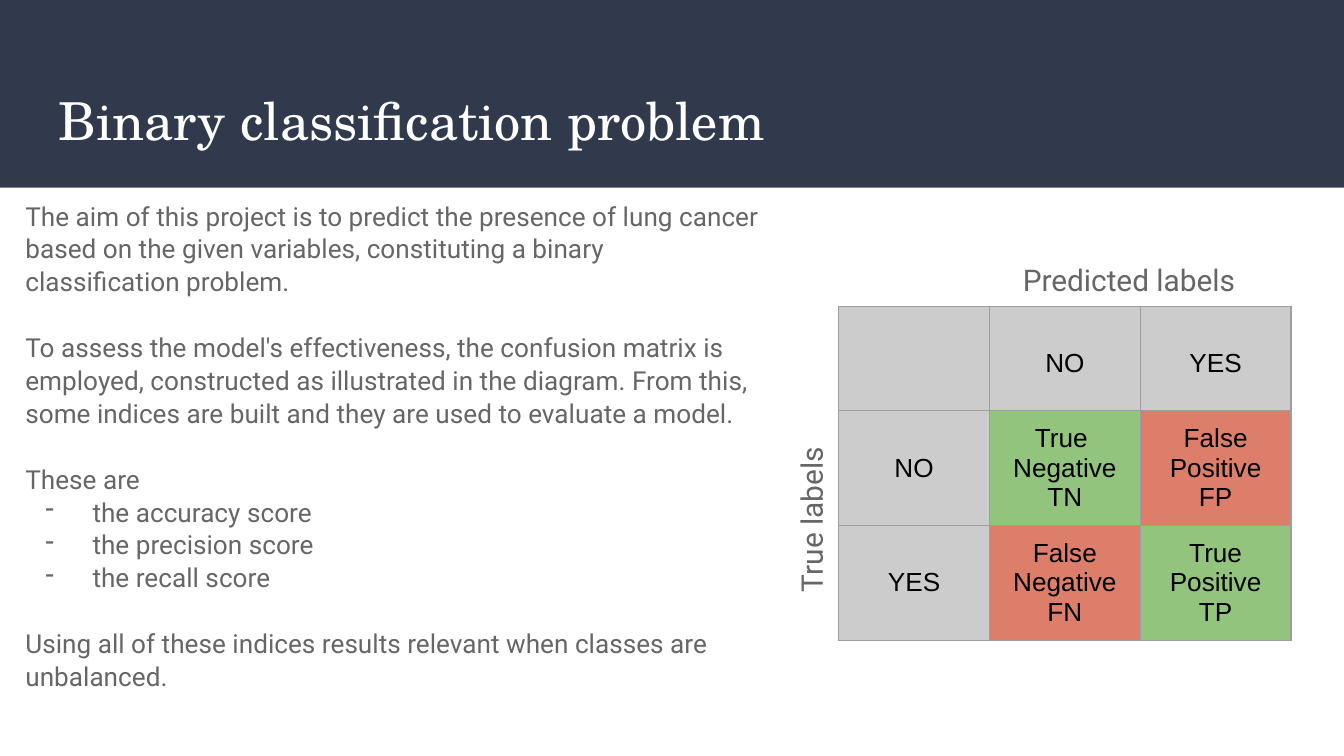
from lxml.etree import SubElement
from pptx import Presentation
from pptx.dml.color import RGBColor
from pptx.enum.shapes import MSO_SHAPE
from pptx.enum.text import MSO_ANCHOR, MSO_AUTO_SIZE, PP_ALIGN
from pptx.oxml.ns import qn
from pptx.util import Cm, Pt

NAVY = RGBColor(0x31, 0x39, 0x4D)
WHITE = RGBColor(0xFF, 0xFF, 0xFF)
BLACK = RGBColor(0x00, 0x00, 0x00)
TEXT_GRAY = RGBColor(0x66, 0x66, 0x66)
CELL_GRAY = RGBColor(0xCC, 0xCC, 0xCC)
GREEN = RGBColor(0x93, 0xC4, 0x7D)
RED = RGBColor(0xDD, 0x7E, 0x6B)
BORDER = "9E9E9E"

SLIDE_SIZE = (25.4, 14.29)
BAND_HEIGHT = 3.55
MARGIN = 0.25

TITLE = "Binary classification problem"
# Blocks of the body: each holds (text, is_bullet) paragraphs
BODY = [
    [("The aim of this project is to predict the presence of lung cancer based on "
      "the given variables, constituting a binary classification problem.", False)],
    [("To assess the model's effectiveness, the confusion matrix is employed, "
      "constructed as illustrated in the diagram. From this, some indices are built "
      "and they are used to evaluate a model.", False)],
    [("These are", False),
     ("the accuracy score", True),
     ("the precision score", True),
     ("the recall score", True)],
    [("Using all of these indices results relevant when classes are unbalanced.", False)],
]
# Cells of the confusion matrix: (paragraphs, fill)
MATRIX = [
    [([], CELL_GRAY), (["NO"], CELL_GRAY), (["YES"], CELL_GRAY)],
    [(["NO"], CELL_GRAY), (["True ", "Negative TN"], GREEN), (["False Positive", "FP"], RED)],
    [(["YES"], CELL_GRAY), (["False Negative FN"], RED), (["True Positive", "TP"], GREEN)],
]
MATRIX_LEFT, MATRIX_TOP = 15.85, 5.79
COLUMN_WIDTH = 2.85
ROW_HEIGHTS = [1.97, 2.17, 2.17]
# Axis labels: text, left, top, width, rotation, alignment
AXIS_LABELS = [
    ("Predicted labels", 19.08, 4.6, 5.13, 0, PP_ALIGN.LEFT),
    ("True labels", 13.18, 9.22, 4.11, 270, PP_ALIGN.CENTER),
]


def add_run(paragraph, text, font_name, size, color):
    run = paragraph.add_run()
    run.text = text
    run.font.name = font_name
    run.font.size = Pt(size)
    run.font.color.rgb = color


def prepare_frame(shape, anchor):
    """Set margins, wrapping and anchor, and return the text frame."""
    frame = shape.text_frame
    frame.margin_left = frame.margin_right = Cm(MARGIN)
    frame.margin_top = frame.margin_bottom = Cm(MARGIN)
    frame.word_wrap = True
    frame.auto_size = MSO_AUTO_SIZE.NONE
    frame.vertical_anchor = anchor
    return frame


def next_paragraph(frame, is_first):
    return frame.paragraphs[0] if is_first else frame.add_paragraph()


def add_dash(paragraph):
    properties = paragraph._p.get_or_add_pPr()
    properties.set("marL", str(Cm(1.27)))
    properties.set("indent", str(Cm(-0.89)))
    SubElement(properties, qn("a:buChar"), char="-")


def add_borders(cell):
    properties = cell._tc.get_or_add_tcPr()
    for side in ("a:lnL", "a:lnR", "a:lnT", "a:lnB"):
        line = SubElement(properties, qn(side), w=str(Pt(0.75)))
        fill = SubElement(line, qn("a:solidFill"))
        SubElement(fill, qn("a:srgbClr"), val=BORDER)


def add_header(slide):
    title = slide.shapes.title
    title.left, title.top, title.width, title.height = Cm(0.86), Cm(1.4), Cm(23.67), Cm(1.73)
    paragraph = prepare_frame(title, MSO_ANCHOR.MIDDLE).paragraphs[0]
    paragraph.alignment = PP_ALIGN.LEFT
    add_run(paragraph, TITLE, "TeX Gyre Schola", 28, WHITE)

    band = slide.shapes.add_shape(
        MSO_SHAPE.RECTANGLE, 0, 0, Cm(SLIDE_SIZE[0]), Cm(BAND_HEIGHT))
    band.shadow.inherit = False
    band.fill.solid()
    band.fill.fore_color.rgb = NAVY
    band.line.fill.background()
    title.element.addprevious(band.element)


def add_body(slide):
    box = slide.shapes.add_textbox(Cm(0.23), Cm(3.5), Cm(14.43), Cm(9.93))
    frame = prepare_frame(box, MSO_ANCHOR.TOP)
    for block_index, block in enumerate(BODY):
        for line_index, (text, is_bullet) in enumerate(block):
            paragraph = next_paragraph(frame, block_index == line_index == 0)
            paragraph.line_spacing = 1.05
            if block_index and not line_index:
                paragraph.space_before = Pt(17.6)
            if is_bullet:
                add_dash(paragraph)
            add_run(paragraph, text, "Roboto", 14, TEXT_GRAY)


def add_matrix(slide):
    table = slide.shapes.add_table(
        len(MATRIX), len(MATRIX[0]), Cm(MATRIX_LEFT), Cm(MATRIX_TOP),
        Cm(COLUMN_WIDTH * len(MATRIX[0])), Cm(sum(ROW_HEIGHTS))).table
    table.first_row = table.horz_banding = False
    for column in table.columns:
        column.width = Cm(COLUMN_WIDTH)
    for row_index, row in enumerate(MATRIX):
        table.rows[row_index].height = Cm(ROW_HEIGHTS[row_index])
        for column_index, (texts, color) in enumerate(row):
            cell = table.cell(row_index, column_index)
            cell.margin_left = cell.margin_right = Cm(MARGIN)
            # Header labels sit slightly below the middle of their row
            cell.margin_top = Cm(MARGIN if row_index else 0.45)
            cell.margin_bottom = Cm(MARGIN)
            cell.vertical_anchor = MSO_ANCHOR.MIDDLE
            add_borders(cell)
            cell.fill.solid()
            cell.fill.fore_color.rgb = color
            for text_index, text in enumerate(texts):
                paragraph = next_paragraph(cell.text_frame, text_index == 0)
                paragraph.alignment = PP_ALIGN.CENTER
                add_run(paragraph, text, "Arial", 14, BLACK)


def add_axis_labels(slide):
    for text, left, top, width, rotation, alignment in AXIS_LABELS:
        box = slide.shapes.add_textbox(Cm(left), Cm(top), Cm(width), Cm(1.2))
        box.rotation = rotation
        paragraph = prepare_frame(box, MSO_ANCHOR.TOP).paragraphs[0]
        paragraph.alignment = alignment
        paragraph.line_spacing = 1.15
        add_run(paragraph, text, "Roboto", 16, TEXT_GRAY)


def main():
    presentation = Presentation()
    presentation.slide_width, presentation.slide_height = map(Cm, SLIDE_SIZE)
    slide = presentation.slides.add_slide(presentation.slide_layouts.get_by_name("Title Only"))
    add_header(slide)
    add_body(slide)
    add_matrix(slide)
    add_axis_labels(slide)
    presentation.save("out.pptx")


if __name__ == "__main__":
    main()
